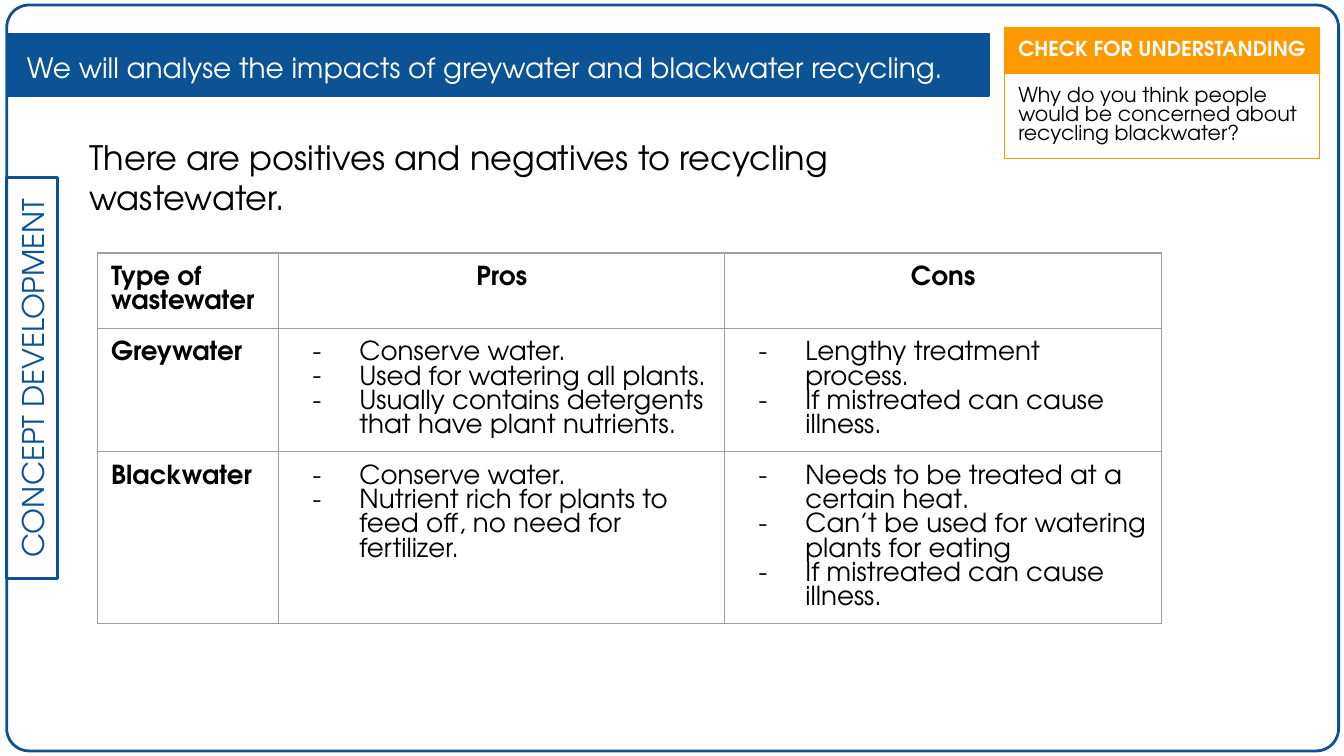
from pptx import Presentation
from pptx.util import Pt
from pptx.dml.color import RGBColor
from pptx.enum.shapes import MSO_SHAPE
from pptx.enum.text import MSO_ANCHOR, PP_ALIGN
from lxml import etree

RECT, ROUND = MSO_SHAPE.RECTANGLE, MSO_SHAPE.ROUNDED_RECTANGLE
LEFT, CENTER = PP_ALIGN.LEFT, PP_ALIGN.CENTER
TOP, MIDDLE = MSO_ANCHOR.TOP, MSO_ANCHOR.MIDDLE
TITLE_ONLY = 5
NS = "http://schemas.openxmlformats.org/drawingml/2006/main"
COLORS = {"blue": "0B5394", "orange": "FF9900", "grey": "9E9E9E",
          "white": "FFFFFF", "black": "000000"}
FONT = "TeX Gyre Adventor"
MARGINS = {f"margin_{side}": Pt(7.2) for side in ("left", "right", "top", "bottom")}


def rgb(name):
    return RGBColor.from_string(COLORS[name])


def sub(parent, tag, **attrs):
    return etree.SubElement(parent, f"{{{NS}}}{tag}", attrs)


def set_all(obj, values):
    for key, value in values.items():
        setattr(obj, key, value)


def paint(fill, color):
    if color:
        fill.solid()
        fill.fore_color.rgb = rgb(color)
    else:
        fill.background()


class Deck:
    def __init__(self, width, height):
        self.prs = Presentation()
        self.prs.slide_width, self.prs.slide_height = Pt(width), Pt(height)
        self.slide = None

    def add_slide(self):
        self.slide = self.prs.slides.add_slide(self.prs.slide_layouts[TITLE_ONLY])

    def add_lines(self, tf, lines, size, color="black", bold=False, align=LEFT,
                  spacing=None, dashed=False):
        for i, line in enumerate(lines):
            p = tf.add_paragraph() if i else tf.paragraphs[0]
            if dashed:
                self.dash(p)
            set_all(p, {"alignment": align, "line_spacing": spacing})
            r = p.add_run()
            r.text = line
            set_all(r.font, {"name": FONT, "size": Pt(size), "bold": bold})
            r.font.color.rgb = rgb(color)

    def dash(self, p):
        pPr = p._p.get_or_add_pPr()
        pPr.set("marL", str(Pt(36)))
        pPr.set("indent", str(Pt(-25)))
        sub(sub(pPr, "buClr"), "srgbClr", val=COLORS["black"])
        sub(pPr, "buFont", typeface=FONT)
        sub(pPr, "buChar", char="-")

    def frame(self, tf, anchor):
        set_all(tf, {"word_wrap": True, "vertical_anchor": anchor, **MARGINS})

    def shape(self, kind, box, line_width, fill=None):
        s = self.slide.shapes.add_shape(kind, *map(Pt, box))
        s.shadow.inherit = False
        paint(s.fill, fill)
        s.line.color.rgb = rgb("blue")
        s.line.width = Pt(line_width)
        return s

    def side_label(self, box, text):
        s = self.shape(RECT, box, 1.5)
        s.rotation = 270
        self.frame(s.text_frame, MIDDLE)
        self.add_lines(s.text_frame, [text], 16, "blue", align=CENTER)

    def title(self, box, text):
        s = self.slide.shapes.title
        s.left, s.top, s.width, s.height = map(Pt, box)
        self.frame(s.text_frame, MIDDLE)
        self.add_lines(s.text_frame, [text], 15, "white", spacing=1.15)
        self.slide.shapes._spTree.append(s._element)

    def text(self, box, text, size):
        s = self.slide.shapes.add_textbox(*map(Pt, box))
        self.frame(s.text_frame, TOP)
        self.add_lines(s.text_frame, [text], size)

    def table(self, left, top, widths, heights, border):
        box = (left, top, sum(widths), sum(heights))
        table = self.slide.shapes.add_table(
            len(heights), len(widths), *map(Pt, box)).table
        table.first_row = table.horz_banding = False
        for col, width in zip(table.columns, widths):
            col.width = Pt(width)
        for row, height in zip(table.rows, heights):
            row.height = Pt(height)
        for cell in table.iter_cells():
            self.border(cell, border)
        return table

    def border(self, cell, color):
        tcPr = cell._tc.get_or_add_tcPr()
        for side in ("lnL", "lnR", "lnT", "lnB"):
            ln = sub(tcPr, side, w=str(Pt(0.75)))
            sub(sub(ln, "solidFill"), "srgbClr", val=COLORS[color])

    def cell(self, cell, lines, size, fill=None, **style):
        set_all(cell, MARGINS)
        paint(cell.fill, fill)
        self.add_lines(cell.text_frame, lines, size, **style)


HEADERS = ["Type of wastewater", "Pros", "Cons"]
WASTEWATER = [
    ("Greywater",
     ["Conserve water.", "Used for watering all plants.",
      "Usually contains detergents that have plant nutrients."],
     ["Lengthy treatment process.", "If mistreated can cause illness."]),
    ("Blackwater",
     ["Conserve water.",
      "Nutrient rich for plants to feed off, no need for fertilizer."],
     ["Needs to be treated at a certain heat.",
      "Can’t be used for watering plants for eating",
      "If mistreated can cause illness."]),
]


def main():
    deck = Deck(720, 405)
    deck.add_slide()

    page = deck.shape(ROUND, (3.6, 2.7, 713.5, 399.6), 1.5)
    page.adjustments[0] = 0.03
    deck.side_label((-90, 188.8, 214.6, 27.4), "CONCEPT DEVELOPMENT")
    deck.shape(RECT, (3.6, 18, 526.3, 33.4), 0.75, "blue")
    deck.title((7.2, 21, 519, 27.4),
               "We will analyse the impacts of greywater and blackwater recycling.")

    table = deck.table(52.3, 135.5, (97, 239, 234), (30, 30, 30), "grey")
    for col, header in enumerate(HEADERS):
        deck.cell(table.cell(0, col), [header], 14, bold=True,
                  align=CENTER if col else LEFT)
    for row, (kind, pros, cons) in enumerate(WASTEWATER, 1):
        deck.cell(table.cell(row, 0), [kind], 14, bold=True)
        for col, points in enumerate((pros, cons), 1):
            deck.cell(table.cell(row, col), points, 14, dashed=True)

    check = deck.table(538.3, 14.8, (168.8,), (9.4, 31), "orange")
    deck.cell(check.cell(0, 0), ["CHECK FOR UNDERSTANDING"], 11, "orange",
              color="white", bold=True)
    deck.cell(check.cell(1, 0),
              ["Why do you think people would be concerned about recycling blackwater?"],
              11)

    deck.text((41, 66.2, 493, 63.4),
              "There are positives and negatives to recycling wastewater.", 18)
    deck.prs.save("out.pptx")


if __name__ == "__main__":
    main()
